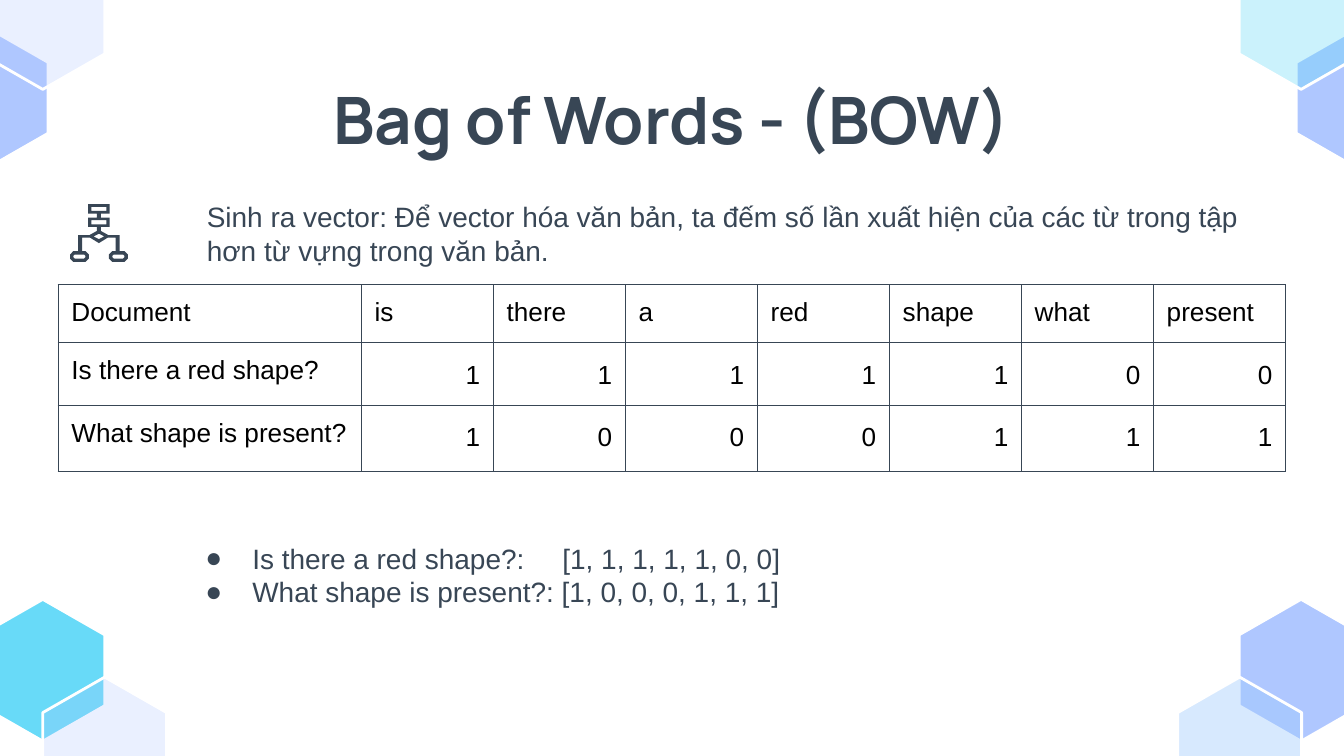
from lxml import etree
from pptx import Presentation
from pptx.dml.color import RGBColor
from pptx.enum.text import MSO_ANCHOR, MSO_AUTO_SIZE, PP_ALIGN
from pptx.oxml.ns import qn
from pptx.util import Cm, Pt

TOP = MSO_ANCHOR.TOP
NO_FIT = MSO_AUTO_SIZE.NONE
LEFT, CENTER, RIGHT = PP_ALIGN.LEFT, PP_ALIGN.CENTER, PP_ALIGN.RIGHT
SLATE = RGBColor(0x38, 0x46, 0x55)
BLACK = RGBColor(0x00, 0x00, 0x00)
WHITE = RGBColor(0xFF, 0xFF, 0xFF)
PERIWINKLE = RGBColor(0xAF, 0xC7, 0xFF)
SKY = RGBColor(0x9F, 0xCB, 0xFD)
CYAN = RGBColor(0x68, 0xDA, 0xF8)


def add_color(parent, color):
    fill = etree.SubElement(parent, qn("a:solidFill"))
    etree.SubElement(fill, qn("a:srgbClr"), val=str(color))


def mirror(points):
    return [(-x, y) for x, y in reversed(points)]


class SlideBuilder:
    title_font = "Manrope"
    body_font = "Arial"
    inset = Cm(0.25)

    def __init__(self, slide):
        self.slide = slide
        self.shapes = slide.shapes

    def style(self, paragraph, size, color, font=None):
        paragraph.font.name = font or self.body_font
        paragraph.font.size = Pt(size)
        paragraph.font.color.rgb = color

    def prepare(self, frame):
        frame.word_wrap = True
        frame.auto_size = NO_FIT
        frame.vertical_anchor = TOP
        frame.margin_left = frame.margin_right = self.inset
        frame.margin_top = frame.margin_bottom = self.inset

    def title(self, text, left, top, width, height):
        heading = self.shapes.title
        heading.left, heading.top = Cm(left), Cm(top)
        heading.width, heading.height = Cm(width), Cm(height)
        self.prepare(heading.text_frame)
        heading.text_frame.text = text
        paragraph = heading.text_frame.paragraphs[0]
        paragraph.alignment = CENTER
        self.style(paragraph, 35, SLATE, self.title_font)
        paragraph.font.bold = True

    def outline(self, contours, fill, alpha=100, border=None):
        scaled = [[(Cm(x), Cm(y)) for x, y in contour] for contour in contours]
        builder = self.shapes.build_freeform(*scaled[0][0])
        for number, contour in enumerate(scaled):
            if number:
                builder.move_to(*contour[0])
            builder.add_line_segments(contour[1:], close=True)
        shape = builder.convert_to_shape()
        shape.shadow.inherit = False
        shape.fill.solid()
        shape.fill.fore_color.rgb = fill
        if alpha < 100:
            color = shape._element.spPr.find(qn("a:solidFill"))[0]
            etree.SubElement(color, qn("a:alpha"), val=str(alpha * 1000))
        if border is None:
            shape.line.fill.background()
        else:
            shape.line.color.rgb = border
            shape.line.width = Pt(1.5)

    def hexagon(self, left, top, fill, alpha=100):
        half, shoulder, height = 1.17, 0.67, 2.68
        right_side = [(0, 0), (half, shoulder), (half, height - shoulder)]
        left_side = [(0, height), (-half, height - shoulder), (-half, shoulder)]
        contour = [(left + half + x, top + y) for x, y in right_side + left_side]
        self.outline([contour], fill, alpha, WHITE)

    def flowchart_icon(self, axis, top, unit):
        side = [(8, 0), (8, 7), (1.5, 7), (1.5, 10), (8, 10), (8, 17), (1.5, 17),
                (1.5, 20), (7, 23), (15.5, 23), (15.5, 35), (19, 35), (21.5, 37.5),
                (21.5, 40.5), (19, 43), (10, 43), (7.5, 40.5), (7.5, 37.5),
                (10, 35), (12.5, 35), (12.5, 25), (6.5, 25), (0, 29)]
        boxes = [[(-5.5, y), (5.5, y), (5.5, y + 3), (-5.5, y + 3)] for y in (2, 12)]
        diamond = [(0, 22), (4, 24), (0, 26), (-4, 24)]
        foot = [(11, 37.5), (18, 37.5), (19, 38.5), (19, 39.5),
                (18, 40.5), (11, 40.5), (10, 39.5), (10, 38.5)]
        contours = [side + mirror(side), *boxes, diamond, foot, mirror(foot)]
        self.outline([[(axis + x * unit, top + y * unit) for x, y in contour]
                      for contour in contours], SLATE)

    def text(self, lines, left, top, width, height, tab=None):
        box = self.shapes.add_textbox(Cm(left), Cm(top), Cm(width), Cm(height))
        frame = box.text_frame
        self.prepare(frame)
        frame.text = "\n".join(lines)
        for paragraph in frame.paragraphs:
            if tab is not None:
                self.bullet(paragraph, tab)
            self.style(paragraph, 15, SLATE)

    def bullet(self, paragraph, tab):
        properties = paragraph._p.get_or_add_pPr()
        properties.set("marL", str(Cm(1.27)))
        properties.set("indent", str(Cm(-0.89)))
        add_color(etree.SubElement(properties, qn("a:buClr")), SLATE)
        etree.SubElement(properties, qn("a:buFont"), typeface=self.body_font)
        etree.SubElement(properties, qn("a:buChar"), char="●")
        tabs = etree.SubElement(properties, qn("a:tabLst"))
        etree.SubElement(tabs, qn("a:tab"), pos=str(Cm(tab)), algn="l")

    def table(self, rows, left, top, widths, heights):
        grid = self.shapes.add_table(len(rows), len(widths), Cm(left), Cm(top),
                                     Cm(sum(widths)), Cm(sum(heights))).table
        for column, width in zip(grid.columns, widths):
            column.width = Cm(width)
        for row, height in zip(grid.rows, heights):
            row.height = Cm(height)
        for r, values in enumerate(rows):
            for c, value in enumerate(values):
                self.cell(grid.cell(r, c), value)

    def cell(self, cell, value):
        cell.margin_left = cell.margin_right = self.inset
        cell.margin_top = cell.margin_bottom = self.inset
        properties = cell._tc.get_or_add_tcPr()
        for edge in ("a:lnL", "a:lnR", "a:lnT", "a:lnB"):
            add_color(etree.SubElement(properties, qn(edge), w=str(Pt(0.75))), SLATE)
        cell.fill.background()
        cell.text = str(value)
        paragraph = cell.text_frame.paragraphs[0]
        is_count = isinstance(value, int)
        paragraph.alignment = RIGHT if is_count else LEFT
        if is_count:
            paragraph.line_spacing = 1.15
        self.style(paragraph, 14, BLACK)
        paragraph.font.bold = False


def main():
    deck = Presentation()
    deck.slide_width, deck.slide_height = Cm(25.4), Cm(14.29)
    page = SlideBuilder(deck.slides.add_slide(deck.slide_layouts[5]))

    for left, top, fill, alpha in (
        (23.42, 11.33, PERIWINKLE, 100),
        (24.5, 0.51, PERIWINKLE, 100),
        (22.26, 12.8, SKY, 41),
        (23.42, -0.99, CYAN, 34),
        (-0.36, 11.33, CYAN, 100),
        (-1.43, 0.51, PERIWINKLE, 100),
        (0.81, 12.8, PERIWINKLE, 25),
        (-0.36, -0.99, PERIWINKLE, 25),
    ):
        page.hexagon(left, top, fill, alpha)

    page.title("Bag of Words - (BOW)", 2, 1.25, 21.4, 1.6)
    page.flowchart_icon(1.87, 3.86, 0.0254)
    page.text(["Sinh ra vector: Để vector hóa văn bản, ta đếm số lần xuất hiện "
               "của các từ trong tập hơn từ vựng trong văn bản."],
              3.66, 3.53, 20.14, 1.8)

    vocabulary = ["is", "there", "a", "red", "shape", "what", "present"]
    vectors = {"Is there a red shape?": [1, 1, 1, 1, 1, 0, 0],
               "What shape is present?": [1, 0, 0, 0, 1, 1, 1]}
    page.table([["Document", *vocabulary]]
               + [[document, *counts] for document, counts in vectors.items()],
               1.1, 5.38, [5.73] + [2.495] * len(vocabulary), [1.1, 1.18, 1.25])
    page.text([f"{document}:{gap}{counts}"
               for (document, counts), gap in zip(vectors.items(), ("\t", " "))],
              3.25, 9.98, 20.14, 1.8, tab=7.13)

    deck.save("out.pptx")


if __name__ == "__main__":
    main()
